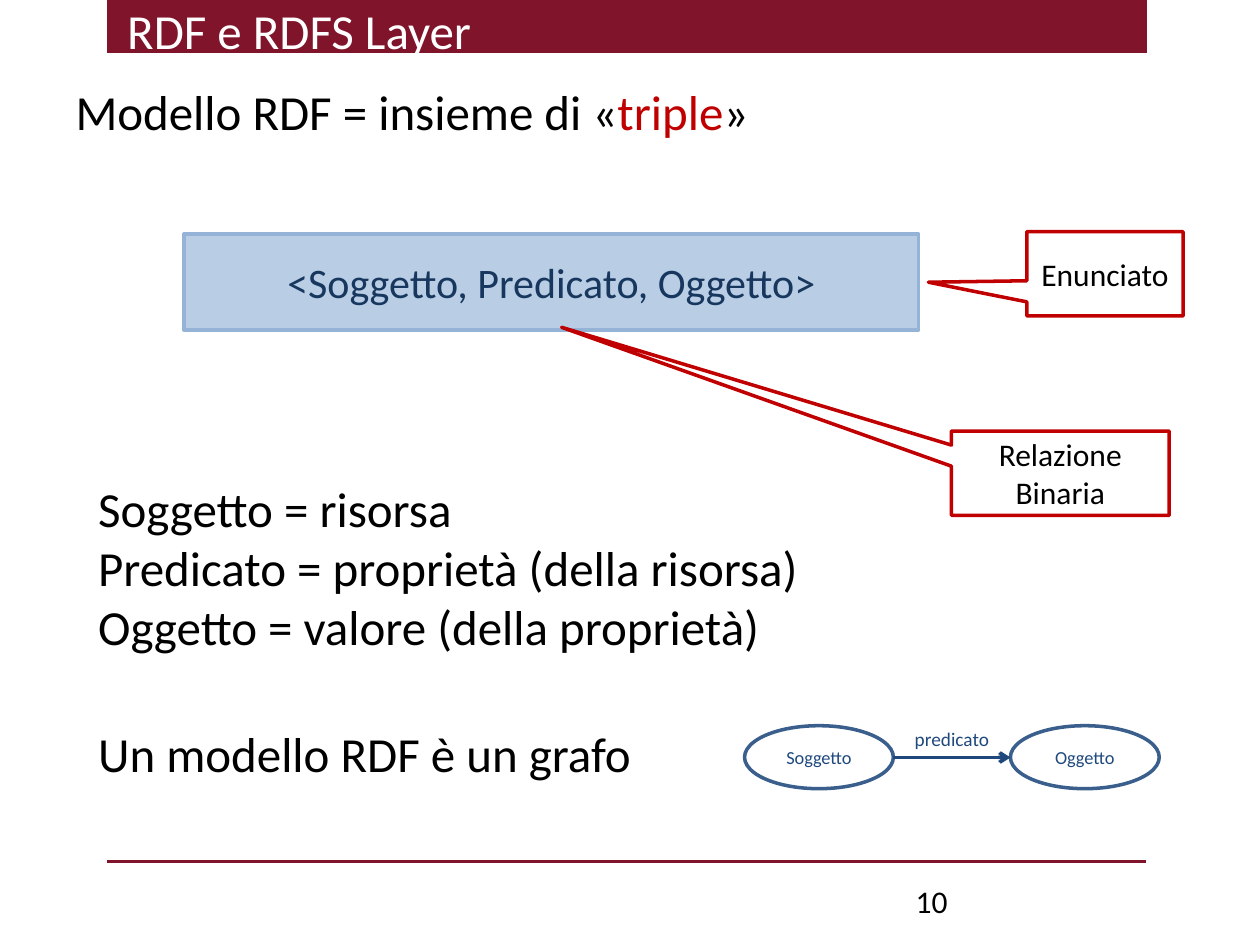
import pptx
import pptx.util
import pptx.dml.color
import pptx.enum.shapes
import pptx.enum.text
import pptx.oxml
import pptx.oxml.ns
from pptx.util import Cm

SHAPE = pptx.enum.shapes.MSO_SHAPE
STRAIGHT = pptx.enum.shapes.MSO_CONNECTOR.STRAIGHT
ANCHOR = pptx.enum.text.MSO_ANCHOR
ALIGN = pptx.enum.text.PP_ALIGN
NO_FIT = pptx.enum.text.MSO_AUTO_SIZE.NONE
BURGUNDY, RED, NAVY, BLACK = "7F142A", "C00000", "1F497D", "000000"


def paint(color_format, hex_color):
    color_format.rgb = pptx.dml.color.RGBColor.from_string(hex_color)


def add_run(paragraph, text, size, hex_color):
    run = paragraph.add_run()
    run.text = text
    run.font.name = "Calibri"
    run.font.size = pptx.util.Pt(size)
    paint(run.font.color, hex_color)


prs = pptx.Presentation()
prs.slide_width, prs.slide_height = Cm(25.4), Cm(19.05)
slide = prs.slides.add_slide(prs.slide_layouts[1])
shapes = slide.shapes
title, triples = shapes.title, slide.placeholders[1]

# Title bar, sent behind the title
title_bar = shapes.add_shape(SHAPE.RECTANGLE, Cm(2.16), Cm(0), Cm(20.96), Cm(1.07))
title_bar.shadow.inherit = False
title_bar.fill.solid()
paint(title_bar.fill.fore_color, BURGUNDY)
title_bar.line.fill.background()
title._element.addprevious(title_bar._element)

# Title
title.left, title.top, title.width, title.height = Cm(2.31), Cm(-0.28), Cm(18.39), Cm(1.75)
title.text_frame.auto_size = NO_FIT
title.text_frame.vertical_anchor = ANCHOR.MIDDLE
heading = title.text_frame.paragraphs[0]
heading.alignment = ALIGN.LEFT
add_run(heading, "RDF e RDFS Layer", 28, "FFFFFF")

# Opening statement
triples.left, triples.top, triples.width, triples.height = Cm(1.27), Cm(1.52), Cm(22.86), Cm(15.98)
triples.text_frame.auto_size = NO_FIT
statement = triples.text_frame.paragraphs[0]
properties = statement._p.get_or_add_pPr()
properties.set("marL", "0")
properties.set("indent", "0")
properties.append(pptx.oxml.parse_xml(f"<a:buNone {pptx.oxml.ns.nsdecls('a')}/>"))
statement.space_before = pptx.util.Pt(0)
for text, color in (("Modello RDF = insieme di «", BLACK), ("triple", RED), ("»", BLACK)):
    add_run(statement, text, 28, color)

# Triple and its two callouts, then the nodes of the graph
graph = shapes.add_group_shape()
boxes = (
    (shapes, SHAPE.RECTANGLE, 3.71, 4.72, 14.81, 1.93,
     "<Soggetto, Predicato, Oggetto>", 24, "17375E", "B9CDE5", "95B3D7", None),
    (graph.shapes, SHAPE.OVAL, 15.01, 14.63, 3, 1.27, "Soggetto", 10.5, NAVY, None, "3A5F8C", None),
    (graph.shapes, SHAPE.OVAL, 20.37, 14.63, 3, 1.27, "Oggetto", 10.5, NAVY, None, "3A5F8C", None),
    (shapes, SHAPE.RECTANGULAR_CALLOUT, 20.7, 4.67, 3.15, 1.7,
     "Enunciato", 18, BLACK, None, RED, (-1.13, 0.1)),
    (shapes, SHAPE.RECTANGULAR_CALLOUT, 19.18, 8.69, 4.39, 1.7,
     "Relazione Binaria", 18, BLACK, None, RED, (-2.29, -1.73)),
)
for parent, kind, left, top, width, height, text, size, color, fill, outline, pointer in boxes:
    box = parent.add_shape(kind, Cm(left), Cm(top), Cm(width), Cm(height))
    box.shadow.inherit = False
    if fill:
        box.fill.solid()
        paint(box.fill.fore_color, fill)
    else:
        box.fill.background()
    paint(box.line.color, outline)
    box.line.width = pptx.util.Pt(2)
    if pointer:
        box.adjustments[0], box.adjustments[1] = pointer
    box.text_frame.word_wrap = True
    box.text_frame.vertical_anchor = ANCHOR.MIDDLE
    label = box.text_frame.paragraphs[0]
    label.alignment = ALIGN.CENTER
    add_run(label, text, size, color)

# Graph edge and footer rule
for parent, start, end, y, color, arrow in (
    (graph.shapes, 18.01, 20.37, 15.27, NAVY, True),
    (shapes, 2.16, 23.11, 17.37, BURGUNDY, False),
):
    rule = parent.add_connector(STRAIGHT, Cm(start), Cm(y), Cm(end), Cm(y))
    paint(rule.line.color, color)
    rule.line.width = pptx.util.Pt(2)
    if arrow:
        rule.line._get_or_add_ln().append(
            pptx.oxml.parse_xml(f'<a:tailEnd {pptx.oxml.ns.nsdecls("a")} type="arrow"/>'))
    rule._element.spPr.append(pptx.oxml.parse_xml(f"<a:effectLst {pptx.oxml.ns.nsdecls('a')}/>"))

# Edge label, definitions and page number
definitions = ("Soggetto = risorsa", "Predicato = proprietà (della risorsa)",
               "Oggetto = valore (della proprietà)", "Un modello RDF è un grafo")
for parent, left, top, width, height, lines, size, color, wrap in (
    (graph.shapes, 18.19, 14.53, 2.03, 0.74, ("predicato",), 11, NAVY, False),
    (shapes, 1.73, 9.53, 20.14, 6.58, definitions, 28, BLACK, True),
    (shapes, 18.21, 17.65, 5.92, 1.02, ("10",), 18, BLACK, True),
):
    frame = parent.add_textbox(Cm(left), Cm(top), Cm(width), Cm(height)).text_frame
    frame.word_wrap = wrap
    for number, text in enumerate(lines):
        paragraph = frame.add_paragraph() if number else frame.paragraphs[0]
        if number == 3:  # the conclusion stands apart from the definitions
            paragraph.space_before = pptx.util.Pt(39)
        add_run(paragraph, text, size, color)

prs.save("out.pptx")
